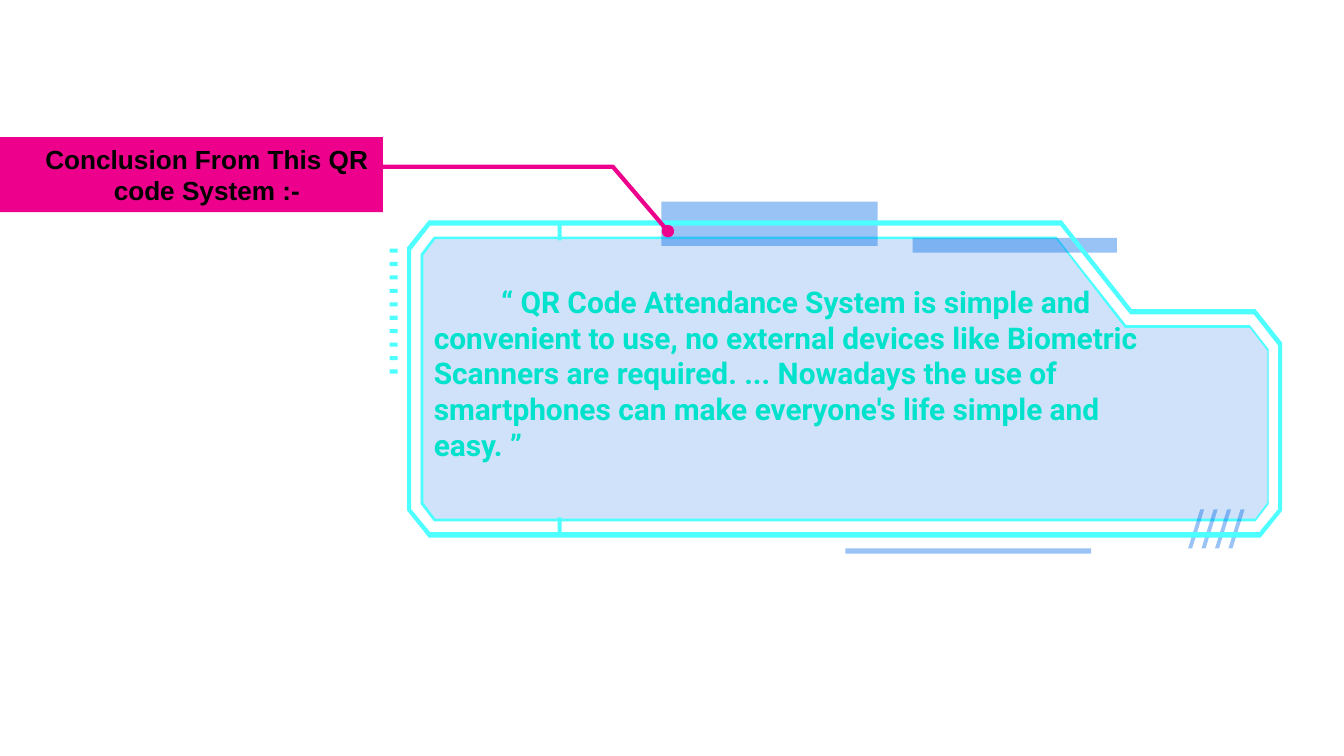
from dataclasses import dataclass

from lxml.etree import SubElement
from pptx import Presentation
from pptx.dml.color import RGBColor
from pptx.dml.fill import FillFormat
from pptx.enum.shapes import MSO_SHAPE
from pptx.enum.text import MSO_ANCHOR, PP_ALIGN
from pptx.oxml.ns import qn
from pptx.shapes.autoshape import Shape
from pptx.shapes.shapetree import SlideShapes
from pptx.util import Inches, Pt

CYAN = "4DFFFF"
BLUE = "0068E8"
PINK = "EC008C"
MINT = "00FFC5"
BLACK = "000000"

Points = list[tuple[float, float]]


@dataclass(frozen=True)
class Box:
    left: float
    top: float
    width: float
    height: float

    def lengths(self) -> list[int]:
        return [Inches(value) for value in (self.left, self.top, self.width, self.height)]


@dataclass(frozen=True)
class Block:
    box: Box
    color: str
    opacity: int = 100


@dataclass(frozen=True)
class Outline:
    contours: list[Points]
    color: str
    opacity: int = 100


def hex_color(value: str) -> RGBColor:
    return RGBColor.from_string(value)


def paint(fill: FillFormat, color: str) -> None:
    fill.solid()
    fill.fore_color.rgb = hex_color(color)


def finish(shape: Shape, color: str, opacity: int) -> None:
    shape.shadow.inherit = False
    shape.line.fill.background()
    paint(shape.fill, color)
    if opacity < 100:
        color_element = shape.element.spPr.find(qn("a:solidFill"))[0]
        SubElement(color_element, qn("a:alpha")).set("val", str(opacity * 1000))


def draw_block(shapes: SlideShapes, block: Block) -> None:
    shape = shapes.add_shape(MSO_SHAPE.RECTANGLE, *block.box.lengths())
    finish(shape, block.color, block.opacity)


def trace(shapes: SlideShapes, contours: list[Points], close: bool = True) -> Shape:
    scaled = [[(Inches(x), Inches(y)) for x, y in contour] for contour in contours]
    builder = shapes.build_freeform(*scaled[0][0])
    for number, contour in enumerate(scaled):
        if number:
            builder.move_to(*contour[0])
        builder.add_line_segments(contour[1:], close=close)
    return builder.convert_to_shape()


def draw_outline(shapes: SlideShapes, outline: Outline) -> None:
    finish(trace(shapes, outline.contours), outline.color, outline.opacity)


def draw_callout_line(shapes: SlideShapes, points: Points, color: str) -> None:
    shape = trace(shapes, [points], close=False)
    shape.shadow.inherit = False
    shape.fill.background()
    paint(shape.line.fill, color)
    shape.line.width = Pt(2.25)
    SubElement(shape.element.spPr.find(qn("a:ln")), qn("a:headEnd")).set("type", "oval")


def add_text(shapes: SlideShapes, box: Box, text: str, *, font: str, size: float,
             color: str, align: PP_ALIGN = PP_ALIGN.LEFT,
             anchor: MSO_ANCHOR = MSO_ANCHOR.TOP, margin: float = 0.05,
             indent: float = 0) -> None:
    frame = shapes.add_textbox(*box.lengths()).text_frame
    frame.word_wrap = True
    frame.vertical_anchor = anchor
    frame.margin_left = frame.margin_right = Inches(0.1)
    frame.margin_top = frame.margin_bottom = Inches(margin)
    paragraph = frame.paragraphs[0]
    paragraph.alignment = align
    if indent:
        paragraph._p.get_or_add_pPr().set("indent", str(Inches(indent)))
    run = paragraph.add_run()
    run.text = text
    run.font.name = font
    run.font.size = Pt(size)
    run.font.bold = True
    run.font.color.rgb = hex_color(color)


def dash(top: float) -> Points:
    return [(2.9, top), (2.9, top + 0.03), (2.96, top + 0.03), (2.96, top)]


def slash(left: float) -> Points:
    return [(left + 0.09, 3.79), (left, 4.08), (left + 0.03, 4.08), (left + 0.12, 3.79)]


PANEL: Points = [(3.23, 1.77), (3.13, 1.9), (3.13, 3.75), (3.23, 3.87), (9.35, 3.87),
                 (9.44, 3.75), (9.44, 2.61), (9.31, 2.43), (8.38, 2.43), (7.86, 1.77)]
INNER_FRAME: list[Points] = [
    [(7.86, 1.78), (8.37, 2.44), (9.3, 2.44), (9.43, 2.61), (9.43, 3.74),
     (9.34, 3.86), (3.24, 3.86), (3.15, 3.74), (3.15, 1.9), (3.24, 1.78)],
    [(3.23, 1.76), (3.13, 1.89), (3.13, 3.75), (3.23, 3.88), (9.34, 3.88),
     (9.44, 3.75), (9.44, 2.6), (9.3, 2.42), (8.38, 2.42), (7.86, 1.76)],
]
OUTER_FRAME: list[Points] = [
    [(7.89, 1.68), (8.41, 2.34), (9.33, 2.34), (9.51, 2.57), (9.51, 3.79),
     (9.37, 3.96), (3.2, 3.96), (3.06, 3.79), (3.06, 1.86), (3.2, 1.68)],
    [(3.19, 1.64), (3.03, 1.84), (3.03, 3.8), (3.19, 4), (9.38, 4),
     (9.54, 3.8), (9.54, 2.55), (9.34, 2.3), (8.42, 2.3), (7.9, 1.64)],
]
DASHES = [dash(1.85 + 0.1 * number) for number in range(10)]
SLASHES = [slash(8.84 + 0.1 * number) for number in range(4)]
CALLOUT_LINE: Points = [(4.97, 1.72), (4.56, 1.24), (2.64, 1.24)]
QUOTE = (
    "“ QR Code Attendance System is simple and convenient to use, no external devices "
    "like Biometric Scanners are required. ... Nowadays the use of smartphones can make "
    "everyone's life simple and easy. ”"
)


def main() -> None:
    presentation = Presentation()
    presentation.slide_width = Inches(10)
    presentation.slide_height = presentation.slide_width * 9 // 16
    slide = presentation.slides.add_slide(presentation.slide_layouts[6])
    shapes = slide.shapes

    add_text(shapes, Box(3.13, 2.06, 5.62, 1.72), QUOTE,
             font="Roboto", size=16, color=MINT, indent=0.5)
    draw_outline(shapes, Outline([PANEL], BLUE, 19))
    draw_outline(shapes, Outline(INNER_FRAME, CYAN))
    for top in (1.66, 3.85):
        draw_block(shapes, Block(Box(4.15, top, 0.03, 0.13), CYAN))
    draw_block(shapes, Block(Box(6.79, 1.77, 1.52, 0.11), BLUE, 40))
    draw_outline(shapes, Outline(SLASHES, BLUE, 40))
    draw_block(shapes, Block(Box(4.92, 1.5, 1.61, 0.33), BLUE, 40))
    draw_outline(shapes, Outline(OUTER_FRAME, CYAN))
    draw_outline(shapes, Outline(DASHES, CYAN))
    draw_block(shapes, Block(Box(6.29, 4.08, 1.83, 0.04), BLUE, 40))

    draw_callout_line(shapes, CALLOUT_LINE, PINK)
    draw_block(shapes, Block(Box(0, 1.02, 2.85, 0.56), PINK))
    add_text(shapes, Box(0.12, 1.02, 2.84, 0.56), "Conclusion From This QR code System :-",
             font="Arial", size=14, color=BLACK, align=PP_ALIGN.CENTER,
             anchor=MSO_ANCHOR.MIDDLE, margin=0.1)

    presentation.save("out.pptx")


if __name__ == "__main__":
    main()
